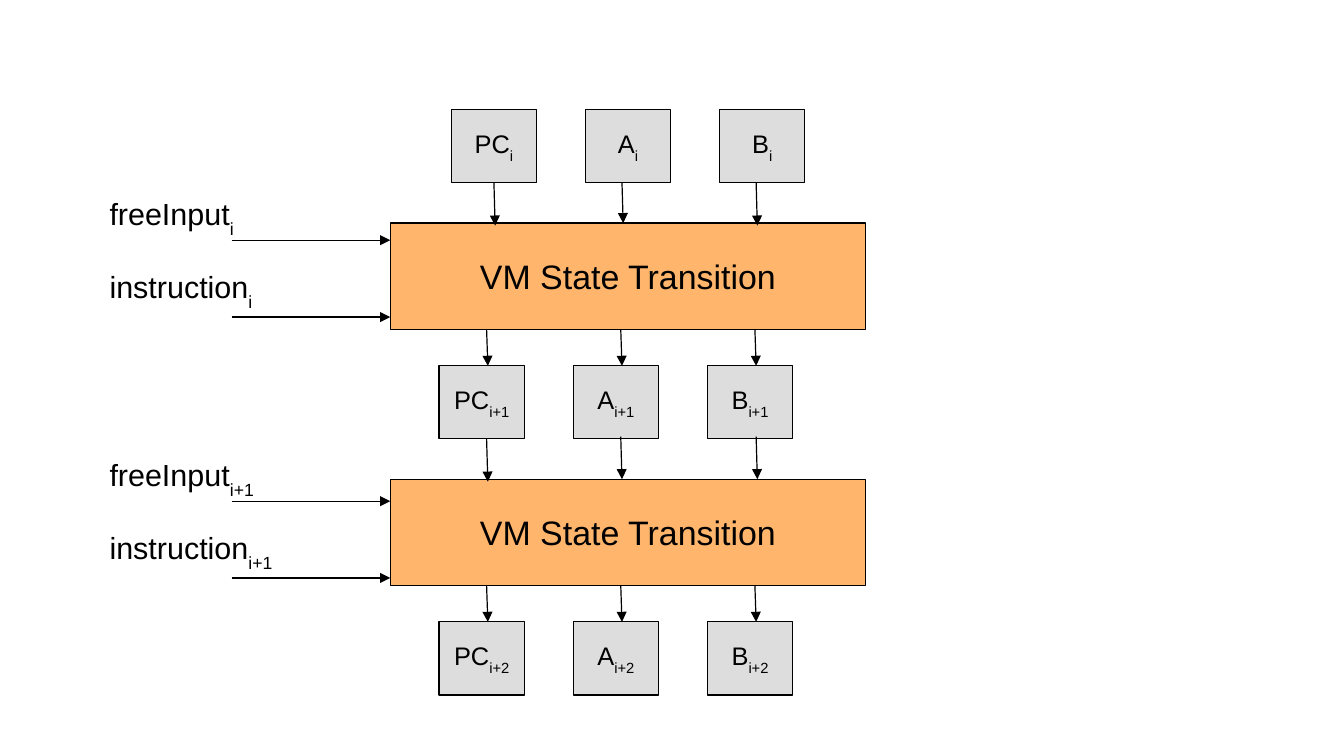
from pptx import Presentation
from pptx.dml.color import RGBColor
from pptx.enum import shapes, text
from pptx.oxml.ns import qn
from pptx.util import Inches, Pt
from lxml import etree

prs = Presentation()
prs.slide_width, prs.slide_height = Inches(11.02), Inches(6.2)
s = prs.slides.add_slide(prs.slide_layouts[6])
BLACK, GREY, ORANGE = "000000", "DDDDDD", "FFB66C"


def add_label(x, y, w, h, words, size, sub="", fill=None):
    """Add a filled box, or a plain text box when there is no fill."""
    box = [Inches(v) for v in (x, y, w, h)]
    if fill:
        sp = s.shapes.add_shape(shapes.MSO_SHAPE.RECTANGLE, *box)
        sp.shadow.inherit = False
        sp.fill.solid()
        sp.fill.fore_color.rgb = RGBColor.from_string(fill)
        sp.line.color.rgb = RGBColor.from_string(BLACK)
        sp.line.width = Pt(0.71)
    else:
        sp = s.shapes.add_textbox(*box)
    tf = sp.text_frame
    tf.word_wrap = True
    tf.vertical_anchor = text.MSO_ANCHOR.MIDDLE
    p = tf.paragraphs[0]
    p.alignment = text.PP_ALIGN.CENTER if fill else text.PP_ALIGN.LEFT
    for part in filter(None, (words, sub)):
        r = p.add_run()
        r.text = part
        r.font.name, r.font.size = "Arial", Pt(size)
        r.font.color.rgb = RGBColor.from_string(BLACK)
    if sub:
        r._r.get_or_add_rPr().set("baseline", "-33000")


def add_arrow(x1, y1, x2, y2):
    c = s.shapes.add_connector(shapes.MSO_CONNECTOR.STRAIGHT,
                               Inches(x1), Inches(y1), Inches(x2), Inches(y2))
    c.line.color.rgb = RGBColor.from_string(BLACK)
    c.line.width = Pt(0.71)
    etree.SubElement(c.line._get_or_add_ln(), qn("a:tailEnd"), type="triangle")
    etree.SubElement(c._element.spPr, qn("a:effectLst"))


# Registers of each state: left edge, top, index
for left, top, index in ((3.7, 0.9, "i"), (3.6, 3, "i+1"), (3.6, 5.1, "i+2")):
    for col, register in enumerate(("PC", "A", "B")):
        add_label(left + 1.1 * col, top, 0.7, 0.6, register, 15, index, GREY)

# Transitions, each with arrows down to the next state
for top in (1.83, 3.93):
    add_label(3.2, top, 3.9, 0.87, "VM State Transition", 20, fill=ORANGE)
    for col in range(3):
        x = 3.99 + 1.1 * col
        add_arrow(x, top + 0.87, x + 0.01, top + 1.17)

# Arrows from registers into the transitions: x, start, end
for x, start, end in ((4.05, 1.5, 1.85), (5.1, 1.5, 1.83), (6.2, 1.5, 1.85),
                      (3.99, 3.6, 3.95), (5.09, 3.58, 3.93), (6.2, 3.58, 3.93)):
    add_arrow(x, start, x + 0.01, end)

# Inputs from the left: label top, arrow height, index
for label_top, arrow_y, index in ((1.56, 1.97, "i"), (3.7, 4.11, "i+1")):
    for row, name in enumerate(("freeInput", "instruction")):
        add_label(0.8, label_top + 0.6 * row, 1.6, 0.44, name, 18, index)
        y = arrow_y + 0.63 * row
        add_arrow(1.9, y, 3.2, y)

prs.save("out.pptx")
